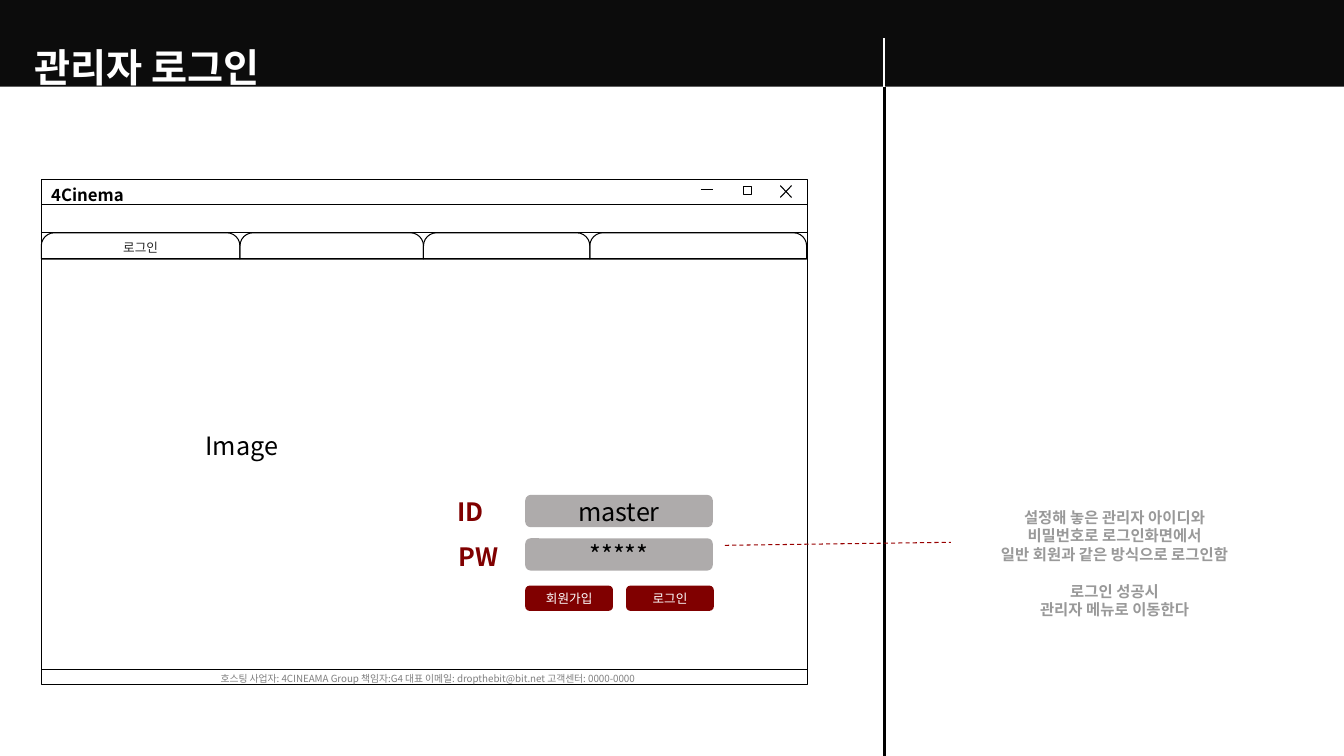
from dataclasses import dataclass

from lxml import etree
from pptx import Presentation
from pptx.dml.color import RGBColor
from pptx.enum.dml import MSO_LINE
from pptx.enum.shapes import MSO_CONNECTOR, MSO_SHAPE
from pptx.enum.text import MSO_ANCHOR, PP_ALIGN
from pptx.oxml.ns import qn
from pptx.util import Pt

RECT, ROUNDED = MSO_SHAPE.RECTANGLE, MSO_SHAPE.ROUNDED_RECTANGLE
TAB, CROSS = MSO_SHAPE.ROUND_2_SAME_RECTANGLE, MSO_SHAPE.MATH_MULTIPLY
STRAIGHT, DASH = MSO_CONNECTOR.STRAIGHT, MSO_LINE.DASH
LEFT, CENTER, MIDDLE = PP_ALIGN.LEFT, PP_ALIGN.CENTER, MSO_ANCHOR.MIDDLE

PX = 9144  # 100 px to the inch
FONT = "Noto Sans CJK KR"
LINE_HEIGHT = 1.2
COLORS = {
    "black": "000000", "white": "FFFFFF", "header": "0C0C0C", "tab": "262626",
    "maroon": "800000", "field": "AEABAB", "blue": "4472C4",
    "footer": "7F7F7F", "note": "999999", "pointer": "980000",
}


@dataclass
class Label:
    text: str
    left: int
    top: int
    width: int
    height: int
    size: int
    color: str = "black"
    bold: bool = False
    align: PP_ALIGN = LEFT
    inset: int = 5


@dataclass
class Block:
    kind: MSO_SHAPE
    left: int
    top: int
    width: int
    height: int
    fill: str = ""
    line: float = 0
    corner: float | None = None
    text: str = ""
    size: int = 9
    color: str = "black"


@dataclass
class Rule:
    x1: int
    y1: int
    x2: int
    y2: int
    weight: float = 0.75
    color: str = "black"
    dashed: bool = False


def rgb(name: str) -> RGBColor:
    return RGBColor.from_string(COLORS[name])


def style(para, size: int, color: str, bold: bool, align: PP_ALIGN) -> None:
    para.alignment = align
    para.font.name = FONT
    para.font.size = Pt(size)
    para.font.bold = bold
    para.font.color.rgb = rgb(color)


def draw_label(page, label: Label) -> None:
    box = page.shapes.add_textbox(label.left * PX, label.top * PX,
                                  label.width * PX, label.height * PX)
    frame = box.text_frame
    frame.word_wrap = True
    frame.margin_top = frame.margin_bottom = label.inset * PX
    gap = False
    for number, text in enumerate(label.text.split("\n")):
        if not text:  # an empty line becomes space before the next paragraph
            gap = True
            continue
        para = frame.add_paragraph() if number else frame.paragraphs[0]
        para.text = text
        para.line_spacing = Pt(label.size * LINE_HEIGHT)
        if gap:
            para.space_before = Pt(label.size * LINE_HEIGHT)
            gap = False
        style(para, label.size, label.color, label.bold, label.align)


def draw_block(page, block: Block) -> None:
    shape = page.shapes.add_shape(block.kind, block.left * PX, block.top * PX,
                                  block.width * PX, block.height * PX)
    shape.shadow.inherit = False
    if block.corner is not None:
        shape.adjustments[0] = block.corner
    if block.fill:
        shape.fill.solid()
        shape.fill.fore_color.rgb = rgb(block.fill)
    else:
        shape.fill.background()
    if block.line:
        shape.line.color.rgb = rgb("black")
        shape.line.width = Pt(block.line)
    else:
        shape.line.fill.background()
    if block.text:
        frame = shape.text_frame
        frame.word_wrap = True
        frame.vertical_anchor = MIDDLE
        frame.paragraphs[0].text = block.text
        style(frame.paragraphs[0], block.size, block.color, False, CENTER)


def draw_rule(page, rule: Rule) -> None:
    line = page.shapes.add_connector(STRAIGHT, rule.x1 * PX, rule.y1 * PX,
                                     rule.x2 * PX, rule.y2 * PX)
    line.line.color.rgb = rgb(rule.color)
    line.line.width = Pt(rule.weight)
    if rule.dashed:
        line.line.dash_style = DASH
    etree.SubElement(line._element.spPr, qn("a:effectLst"))


# Browser window
WINDOW_LEFT, WINDOW_RIGHT = 41, 800
TAB_EDGES = [WINDOW_LEFT, 238, 420, 585, WINDOW_RIGHT]
TAB_TEXTS = ["로그인", "", "", ""]
WINDOW_RULES = [(203, 1), (231, 0.75), (256, 0.75), (664, 1)]

# Login form
FIELDS = [("master", 491), ("*****", 534)]
BUTTONS = [("회원가입", 521), ("로그인", 621)]

blocks = [
    Block(RECT, -18, 0, 1383, 86, fill="header"),
    Block(RECT, WINDOW_LEFT, 178, 760, 501, line=1),
    Block(RECT, 737, 185, 8, 8, line=0.75),
    Block(CROSS, 769, 179, 21, 22, fill="blue", line=0.75, corner=0),
]
blocks += [Block(TAB, left, 231, right - left, 26, line=0.75, corner=0.5,
                 text=text, color="tab")
           for left, right, text in zip(TAB_EDGES, TAB_EDGES[1:], TAB_TEXTS)]
blocks += [Block(ROUNDED, 521, top, 186, 32, fill="field", corner=0.167,
                 text=text, size=18) for text, top in FIELDS]
blocks += [Block(ROUNDED, left, 581, 87, 25, fill="maroon", corner=0.167,
                 text=text, color="white") for text, left in BUTTONS]

rules = [Rule(WINDOW_LEFT, y, WINDOW_RIGHT, y, weight)
         for y, weight in WINDOW_RULES]
rules += [
    Rule(695, 188, 707, 188),  # minimise
    Rule(877, 38, 877, 95, 1.5, "white"),
    Rule(877, 86, 877, 750, 2.25),
    Rule(719, 541, 943, 538, color="pointer", dashed=True),
]

NOTE = """설정해 놓은 관리자 아이디와
비밀번호로 로그인화면에서
일반 회원과 같은 방식으로 로그인함

로그인 성공시
관리자 메뉴로 이동한다"""

labels = [
    Label("관리자 로그인", 24, 38, 396, 57, 28, "white", True),
    Label("4Cinema", 41, 178, 123, 30, 12, bold=True),
    Label("Image", 194, 422, 256, 40, 18),
    Label("ID", 444, 487, 93, 40, 18, "maroon", True),
    Label("PW", 445, 532, 93, 40, 18, "maroon", True),
    Label("호스팅 사업자: 4CINEAMA Group 책임자:G4 대표 이메일: "
          "dropthebit@bit.net 고객센터: 0000-0000",
          209, 662, 531, 22, 7, "footer"),
    Label(NOTE, 901, 494, 409, 131, 11, "note", True, CENTER, inset=10),
]


def main() -> None:
    deck = Presentation()
    deck.slide_width, deck.slide_height = 1333 * PX, 750 * PX
    page = deck.slides.add_slide(deck.slide_layouts[6])
    for block in blocks:
        draw_block(page, block)
    for rule in rules:
        draw_rule(page, rule)
    for label in labels:
        draw_label(page, label)
    deck.save("out.pptx")


if __name__ == "__main__":
    main()
